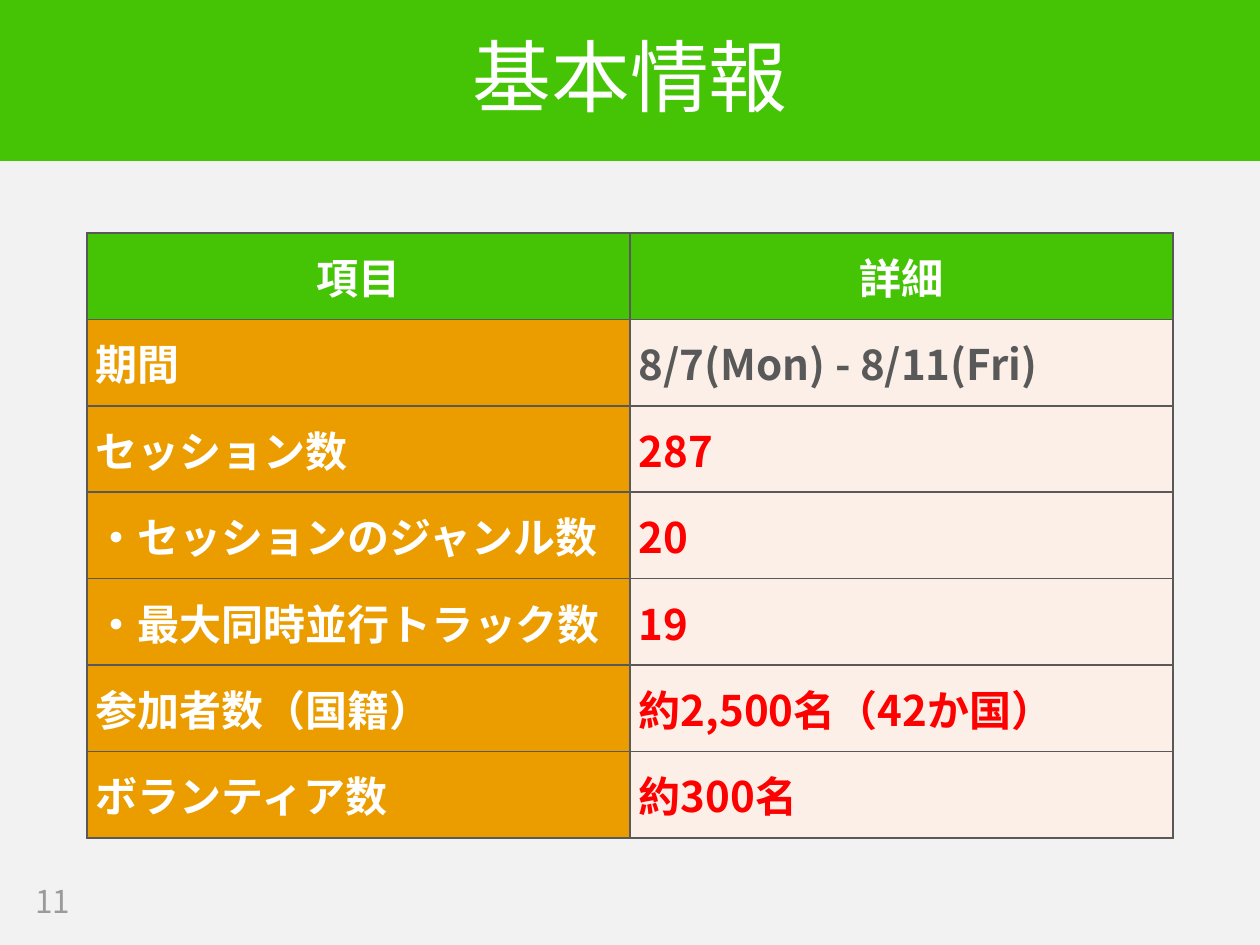
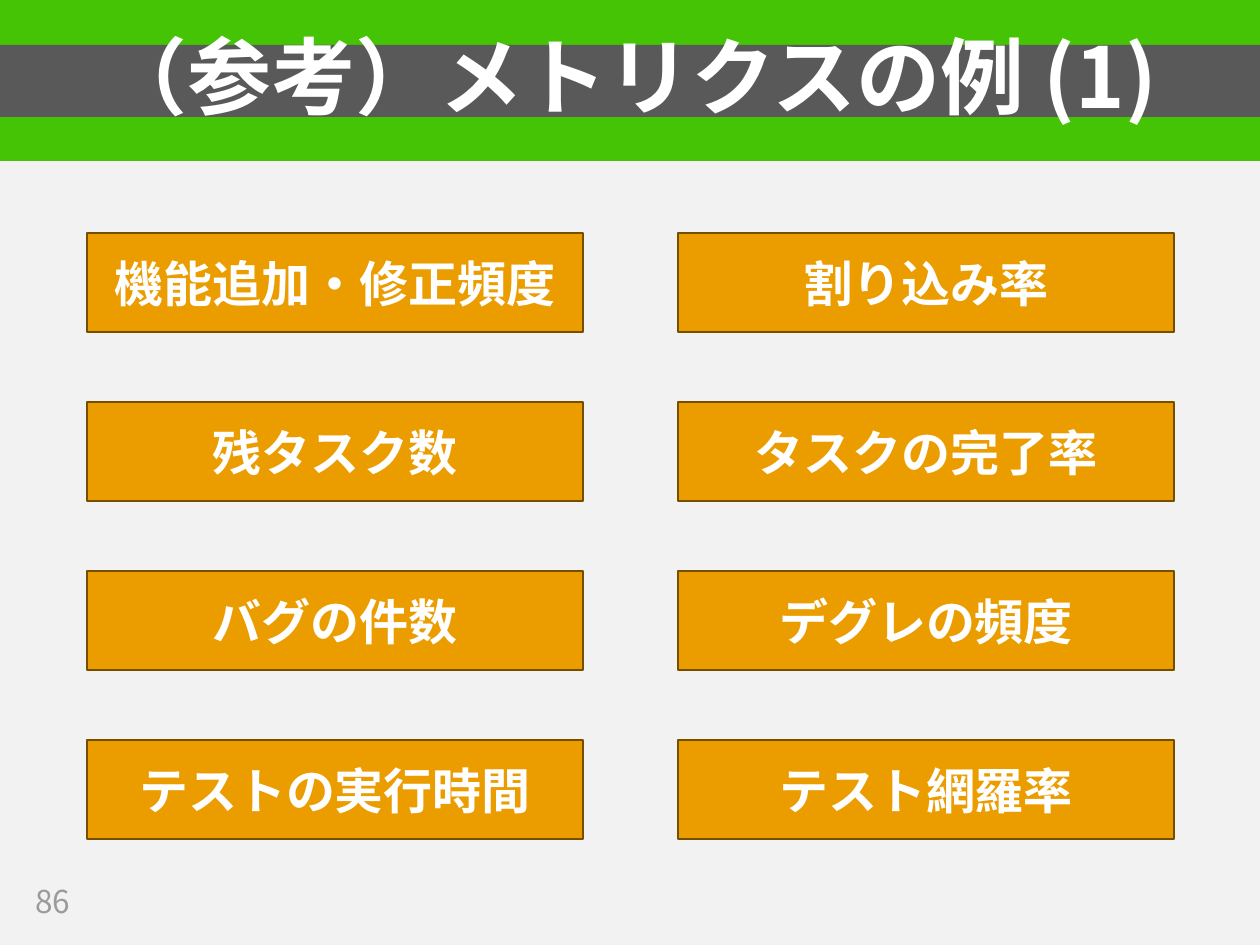
from itertools import product

from lxml.etree import SubElement
from pptx import Presentation
from pptx.dml.color import RGBColor
from pptx.enum.shapes import MSO_SHAPE
from pptx.enum.text import MSO_ANCHOR, MSO_AUTO_SIZE, PP_ALIGN
from pptx.oxml.ns import qn
from pptx.util import Pt

GREEN = RGBColor(0x44, 0xC4, 0x04)
ORANGE = RGBColor(0xEB, 0x9D, 0x00)
BROWN = RGBColor(0x76, 0x4E, 0x00)
CREAM = RGBColor(0xFB, 0xEF, 0xE7)
DARK_GRAY = RGBColor(0x59, 0x59, 0x59)
PAGE_GRAY = RGBColor(0x9B, 0x9B, 0x9B)
BACKGROUND = RGBColor(0xF2, 0xF2, 0xF2)
WHITE = RGBColor(0xFF, 0xFF, 0xFF)
RED = RGBColor(0xFF, 0x00, 0x00)

FONT = "Noto Sans CJK JP"
TITLE_ONLY = 5
SLIDE_WIDTH, SLIDE_HEIGHT = 1260, 945
LEFT, TOP = 87, 233


def px(*lengths):
    return [round(length * 914400 / 126) for length in lengths]


class Deck:
    def __init__(self):
        self.presentation = Presentation()
        self.presentation.slide_width, self.presentation.slide_height = px(SLIDE_WIDTH, SLIDE_HEIGHT)
        fill = self.presentation.slide_master.background.fill
        fill.solid()
        fill.fore_color.rgb = BACKGROUND
        self.slide = None

    def set_text(self, frame, text, size, color, bold=False, align=PP_ALIGN.LEFT):
        frame.text = text
        paragraph = frame.paragraphs[0]
        paragraph.alignment = align
        font = paragraph.font
        font.size = Pt(size)
        font.bold = bold
        font.color.rgb = color
        font.name = FONT
        defaults = paragraph._p.pPr.find(qn("a:defRPr"))
        SubElement(defaults, qn("a:ea")).set("typeface", FONT)
        return paragraph

    def add_slide(self, title, number, size, bold=False, title_fill=None):
        layout = self.presentation.slide_layouts[TITLE_ONLY]
        self.slide = self.presentation.slides.add_slide(layout)
        band = self.add_box(0, -1, SLIDE_WIDTH, 161, GREEN, GREEN, 1)
        self.slide.shapes.element.insert(2, band.element)
        self.add_title(title, size, bold, title_fill)
        self.add_page_number(number)

    def add_title(self, text, size, bold, fill_color):
        title = self.slide.shapes.title
        title.left, title.top, title.width, title.height = px(0, 45, SLIDE_WIDTH, 72)
        if fill_color is not None:
            title.fill.solid()
            title.fill.fore_color.rgb = fill_color
        frame = title.text_frame
        frame.auto_size = MSO_AUTO_SIZE.NONE
        frame.vertical_anchor = MSO_ANCHOR.MIDDLE
        paragraph = self.set_text(frame, text, size, WHITE, bold, PP_ALIGN.CENTER)
        paragraph.line_spacing = 0.9

    def add_page_number(self, number):
        frame = self.slide.shapes.add_textbox(*px(23, 876, 100, 49)).text_frame
        frame.word_wrap = True
        frame.vertical_anchor = MSO_ANCHOR.MIDDLE
        self.set_text(frame, str(number), 18, PAGE_GRAY)

    def add_box(self, left, top, width, height, fill_color, line_color, line_width):
        shape = self.slide.shapes.add_shape(MSO_SHAPE.RECTANGLE, *px(left, top, width, height))
        shape.shadow.inherit = False
        shape.fill.solid()
        shape.fill.fore_color.rgb = fill_color
        shape.line.color.rgb = line_color
        shape.line.width = Pt(line_width)
        return shape

    def add_label(self, text, left, top, width, height):
        frame = self.add_box(left, top, width, height, ORANGE, BROWN, 0.75).text_frame
        frame.word_wrap = True
        frame.vertical_anchor = MSO_ANCHOR.MIDDLE
        self.set_text(frame, text, 28, WHITE, True, PP_ALIGN.CENTER)

    def add_table(self, header, rows, left, top, width, height):
        graphic_frame = self.slide.shapes.add_table(
            len(rows) + 1, len(header), *px(left, top, width, height))
        table = graphic_frame.table
        table.horz_banding = False
        for column, text in enumerate(header):
            self.fill_cell(table.cell(0, column), text, GREEN, WHITE, PP_ALIGN.CENTER)
        for row, (item, detail, color) in enumerate(rows, 1):
            self.fill_cell(table.cell(row, 0), item, ORANGE, WHITE)
            self.fill_cell(table.cell(row, 1), detail, CREAM, color)

    def fill_cell(self, cell, text, fill_color, color, align=PP_ALIGN.LEFT):
        cell.vertical_anchor = MSO_ANCHOR.MIDDLE
        cell.margin_left, cell.margin_right, cell.margin_top, cell.margin_bottom = px(9, 9, 6, 6)
        properties = cell._tc.get_or_add_tcPr()
        for side in ("lnL", "lnR", "lnT", "lnB"):
            border = SubElement(properties, qn(f"a:{side}"), w=str(int(Pt(1))))
            line_fill = SubElement(border, qn("a:solidFill"))
            SubElement(line_fill, qn("a:srgbClr"), val=str(DARK_GRAY))
        cell.fill.solid()
        cell.fill.fore_color.rgb = fill_color
        self.set_text(cell.text_frame, text, 24, color, True, align)


def add_basic_information(deck):
    deck.add_slide("基本情報", 11, 45)
    rows = [
        ("期間", "8/7(Mon) - 8/11(Fri)", DARK_GRAY),
        ("セッション数", "287", RED),
        ("・セッションのジャンル数", "20", RED),
        ("・最大同時並行トラック数", "19", RED),
        ("参加者数（国籍）", "約2,500名（42か国）", RED),
        ("ボランティア数", "約300名", RED),
    ]
    deck.add_table(("項目", "詳細"), rows, LEFT, TOP, 1086, 605)


def add_metrics(deck):
    deck.add_slide("（参考）メトリクスの例 (1)", 86, 48, True, DARK_GRAY)
    metrics = [
        "機能追加・修正頻度", "割り込み率",
        "残タスク数", "タスクの完了率",
        "バグの件数", "デグレの頻度",
        "テストの実行時間", "テスト網羅率",
    ]
    for metric, (row, column) in zip(metrics, product(range(4), range(2))):
        deck.add_label(metric, LEFT + column * 591, TOP + row * 169, 496, 99)


def main():
    deck = Deck()
    add_basic_information(deck)
    add_metrics(deck)
    deck.presentation.save("out.pptx")


if __name__ == "__main__":
    main()
